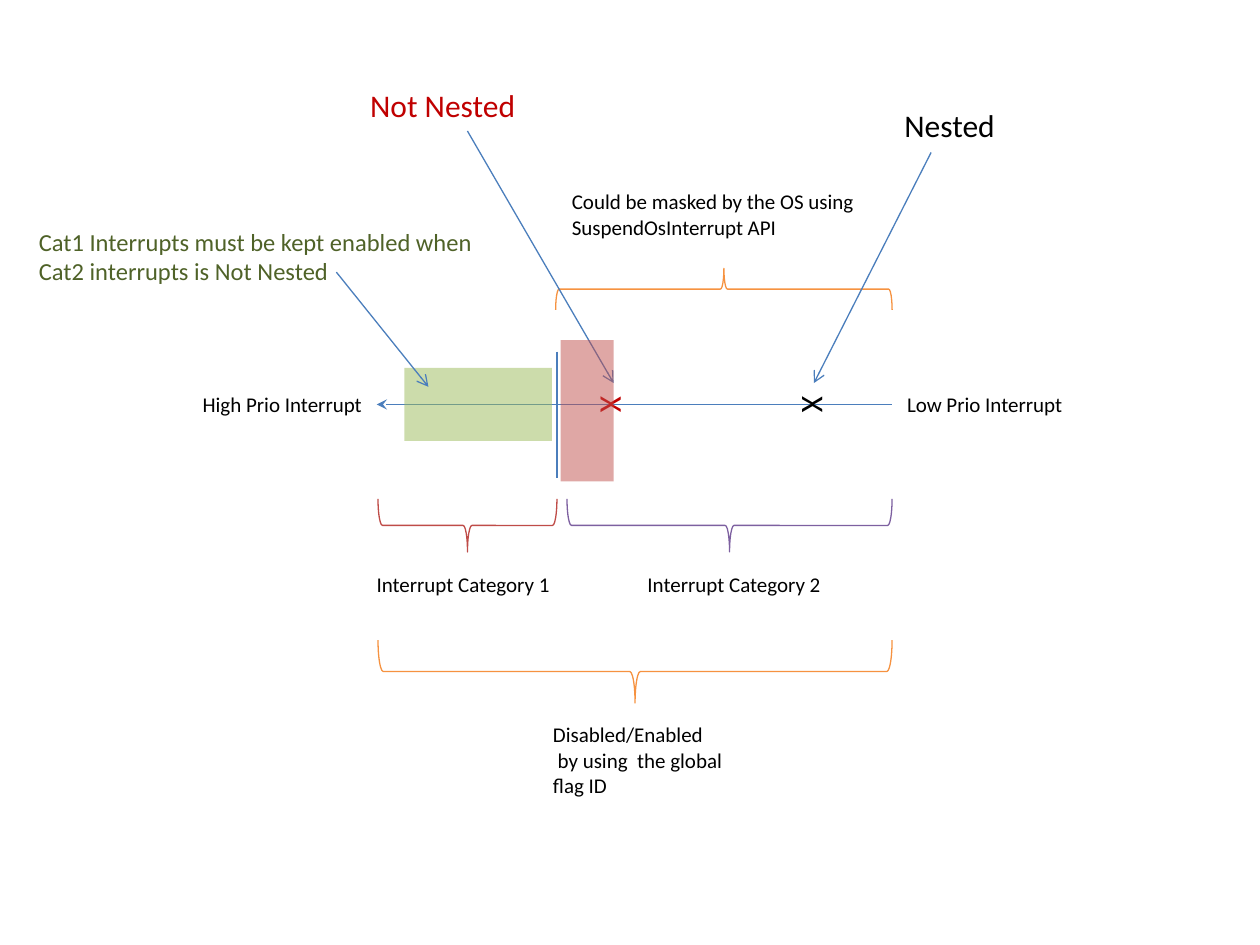
"""Draw the interrupt priority axis with its categories and nesting notes."""
from dataclasses import dataclass
from typing import Any, Optional

from lxml import etree
from pptx import Presentation
from pptx.dml.color import RGBColor
from pptx.enum import shapes, text
from pptx.oxml import ns
from pptx.util import Inches, Pt

HUES = {
    "black": "000000", "red": "C00000", "olive": "4F6228", "blue": "4B7EBC",
    "rose": "BF4C48", "plum": "7D60A0", "gold": "F69240",
    "green": "9BBB59", "brick": "C0504D",
}
KIND = shapes.MSO_SHAPE


@dataclass
class Box:
    left: float
    top: float
    width: float
    height: float

    def frame(self) -> list[int]:
        return [Inches(v) for v in (self.left, self.top, self.width, self.height)]


@dataclass
class Label:
    words: str
    box: Box
    size: int = 12
    hue: str = "black"
    wrap: bool = False
    turn: int = 0


@dataclass
class Brace:
    box: Box
    hue: str
    kind: Any = KIND.RIGHT_BRACE


@dataclass
class Zone:
    box: Box
    hue: str
    turn: int = 0


@dataclass
class Line:
    start: tuple[float, float]
    end: tuple[float, float]
    head: Optional[str] = None
    tail: Optional[str] = None


def color(hue: str) -> RGBColor:
    return RGBColor.from_string(HUES[hue])


def add_label(slide: Any, label: Label) -> Any:
    shape = slide.shapes.add_textbox(*label.box.frame())
    shape.rotation = label.turn
    frame = shape.text_frame
    frame.word_wrap = label.wrap
    frame.auto_size = text.MSO_AUTO_SIZE.SHAPE_TO_FIT_TEXT
    para = frame.paragraphs[0]
    for i, words in enumerate(label.words.split("\n")):
        if i:
            para.add_line_break()
        run = para.add_run()
        run.text = words
        run.font.name = "Calibri"
        run.font.size = Pt(label.size)
        run.font.color.rgb = color(label.hue)
    return shape


def add_brace(slide: Any, brace: Brace) -> None:
    shape = slide.shapes.add_shape(brace.kind, *brace.box.frame())
    shape.rotation = 90
    shape.shadow.inherit = False
    shape.fill.background()
    shape.line.color.rgb = color(brace.hue)
    shape.line.width = Pt(0.75)


def add_zone(slide: Any, zone: Zone) -> None:
    shape = slide.shapes.add_shape(KIND.RECTANGLE, *zone.box.frame())
    shape.rotation = zone.turn
    shape.shadow.inherit = False
    shape.line.fill.background()
    shape.fill.solid()
    shape.fill.fore_color.rgb = color(zone.hue)
    tint = shape._element.spPr.find(".//" + ns.qn("a:srgbClr"))
    etree.SubElement(tint, ns.qn("a:alpha"), val="50000")


def add_line(slide: Any, line: Line, mark: Any = None) -> Any:
    ends = [Inches(v) for v in line.start + line.end]
    link = slide.shapes.add_connector(shapes.MSO_CONNECTOR.STRAIGHT, *ends)
    if mark is not None:
        link.end_connect(mark, 1)
        link.end_x, link.end_y = ends[2:]
    link.line.color.rgb = color("blue")
    link.line.width = Pt(0.75)
    for tag, tip in (("a:headEnd", line.head), ("a:tailEnd", line.tail)):
        if tip:
            etree.SubElement(link.line._get_or_add_ln(), ns.qn(tag), type=tip)
    etree.SubElement(link._element.spPr, ns.qn("a:effectLst"))
    return link


HIGH = Label("High Prio Interrupt", Box(1.51, 3.06, 1.48, 0.3))
AXIS = Line((3, 3.21), (7.08, 3.21), head="stealth")
SPLIT = Line((4.42, 2.79), (4.42, 3.79))
LABELS = [
    Label("Disabled/Enabled\n by using  the global \nflag ID", Box(4.29, 5.68, 1.6, 0.71)),
    Label("Low Prio Interrupt", Box(7.1, 3.06, 1.45, 0.3)),
    Label("Interrupt Category 1", Box(2.89, 4.49, 1.59, 0.3)),
    Label("Interrupt Category 2", Box(5.04, 4.49, 1.59, 0.3)),
    Label("Could be masked by the OS using \nSuspendOsInterrupt API",
          Box(4.44, 1.45, 2.5, 0.5)),
]
BRACES = [
    Brace(Box(3.5, 3.46, 0.42, 1.42), "rose"),
    Brace(Box(5.58, 2.88, 0.42, 2.58), "plum"),
    Brace(Box(4.79, 3.29, 0.5, 4.08), "gold"),
    Brace(Box(5.58, 0.96, 0.33, 2.67), "gold", KIND.LEFT_BRACE),
]
CASES = [
    (Label("X", Box(6.3, 3.01, 0.33, 0.4), 18, turn=90),
     Line((7.39, 1.21), (6.46, 3.04), tail="arrow"),
     Label("Nested", Box(7.08, 0.79, 0.93, 0.4), 18)),
    (Label("X", Box(4.7, 3.01, 0.33, 0.4), 18, "red", turn=90),
     Line((3.71, 1.04), (4.87, 3.04), tail="arrow"),
     Label("Not Nested", Box(2.84, 0.63, 1.37, 0.4), 18, "red")),
]
KEPT = Zone(Box(3.21, 2.92, 1.17, 0.58), "green")
HELD = Zone(Box(4.1, 3.05, 1.12, 0.42), "brick", 270)
POINT = Line((2.67, 2.16), (3.4, 3.07), tail="arrow")
NOTE = Label("Cat1 Interrupts must be kept enabled when Cat2 interrupts is Not Nested",
             Box(0.21, 1.75, 3.7, 0.57), 14, "olive", wrap=True)


def main() -> None:
    deck = Presentation()
    deck.slide_width, deck.slide_height = Inches(10), Inches(7.5)
    slide = deck.slides.add_slide(deck.slide_layouts[6])
    high = add_label(slide, HIGH)
    add_line(slide, AXIS).begin_connect(high, 3)
    add_line(slide, SPLIT)
    for label in LABELS:
        add_label(slide, label)
    for brace in BRACES:
        add_brace(slide, brace)
    for cross, arrow, title in CASES:
        add_line(slide, arrow, add_label(slide, cross))
        add_label(slide, title)
    add_zone(slide, KEPT)
    add_line(slide, POINT)
    add_label(slide, NOTE)
    add_zone(slide, HELD)
    deck.save("out.pptx")


if __name__ == "__main__":
    main()
